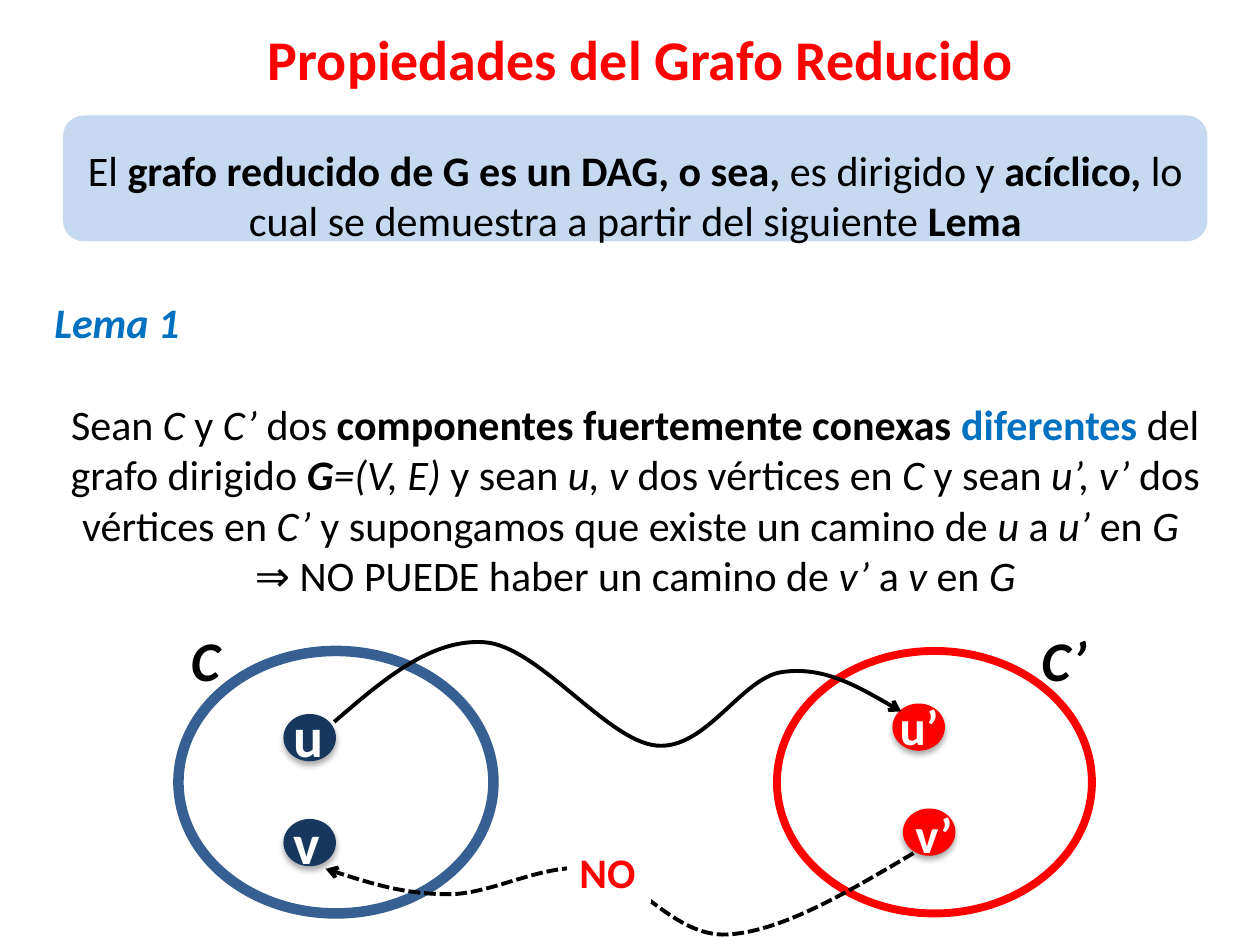
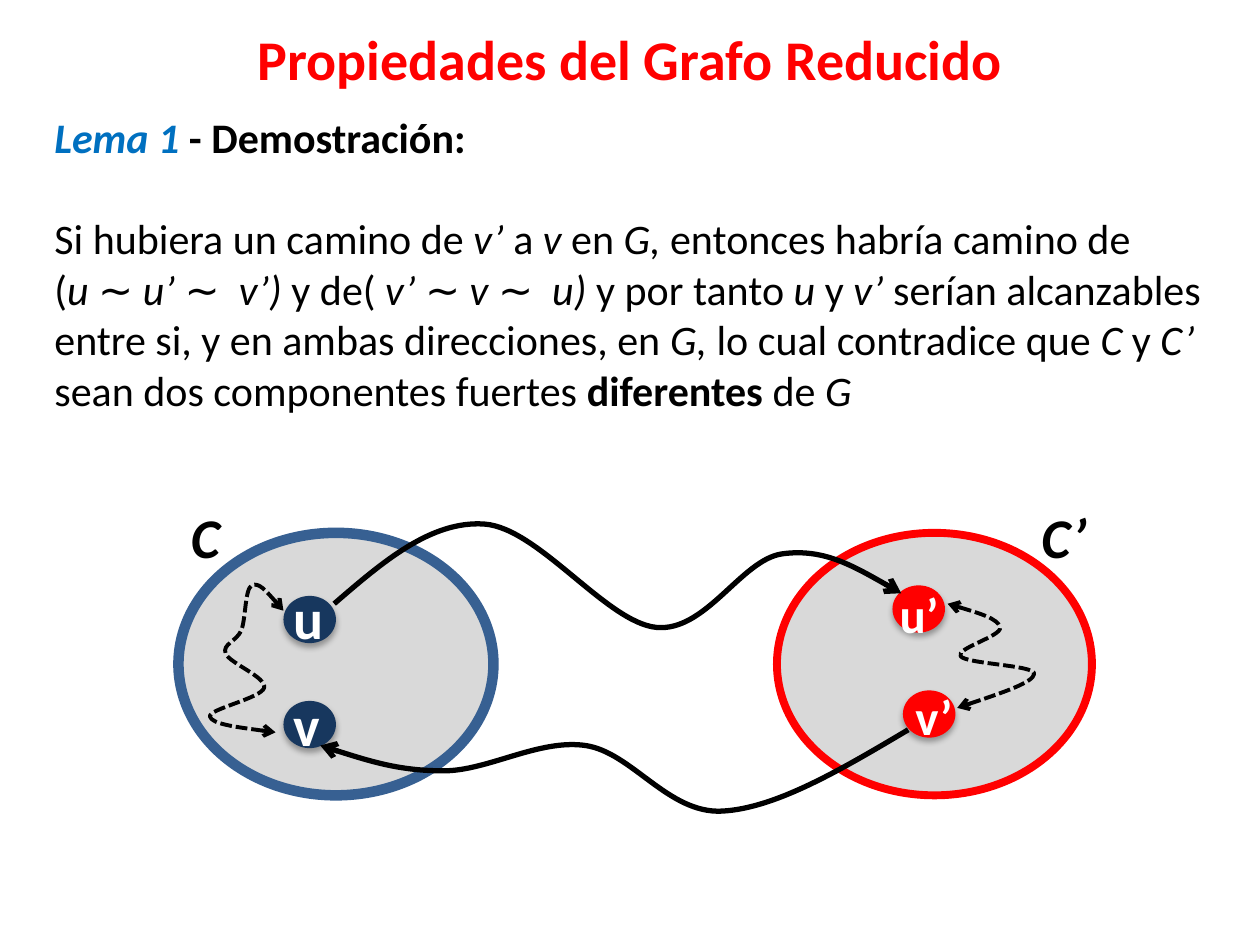
from pptx import Presentation
from pptx.dml.color import RGBColor
from pptx.enum import dml, shapes, text
from pptx.oxml import ns, xmlchemy
from pptx.util import Pt

COLORS = {
    "red": "FF0000", "black": "000000", "white": "FFFFFF", "blue": "0070C0",
    "ring": "376092", "navy": "17375E", "card": "C6D9F1", "gray": "D9D9D9",
}
FONT = "Calibri"
TITLE = "Propiedades del Grafo Reducido"
BLANK_LINE = 29.3

PLAIN, B, I = {}, {"bold": True}, {"italic": True}
BI = B | I
BLUE_BI = BI | {"color": "blue"}

LEMMA = [
    {"align": "CENTER", "runs": [
        ("El ", PLAIN), ("grafo reducido de G es un DAG, o sea, ", B),
        ("es dirigido y ", PLAIN), ("acíclico, ", B),
        ("lo cual se demuestra a partir del siguiente ", PLAIN), ("Lema", B)]},
    {"align": "LEFT", "before": BLANK_LINE, "runs": [("Lema 1", BLUE_BI)]},
    {"align": "CENTER", "before": BLANK_LINE, "runs": [
        ("Sean ", PLAIN), ("C", I), (" y ", PLAIN), ("C’", I), (" dos ", PLAIN),
        ("componentes fuertemente conexas ", B),
        ("diferentes ", B | {"color": "blue"}),
        ("del grafo dirigido ", PLAIN), ("G", BI), ("=(V, E) ", I),
        ("y sean", PLAIN), (" u, v ", I), ("dos vértices en", PLAIN), (" C ", I),
        ("y sean", PLAIN), (" u’, v’ ", I), ("dos vértices en", PLAIN), (" C’ ", I),
        ("y supongamos que existe un camino de", PLAIN), (" u ", I),
        ("a", PLAIN), (" u’ ", I), ("en ", PLAIN), ("G ", I)]},
    {"align": "CENTER", "runs": [
        ("⇒ NO PUEDE haber un camino de", PLAIN), (" v’ ", I),
        ("a", PLAIN), (" v ", I), ("en ", PLAIN), ("G", I)]},
]
PROOF = [
    {"align": "LEFT", "runs": [("Lema 1 ", BLUE_BI), ("- Demostración: ", B)]},
    {"align": "LEFT", "before": BLANK_LINE, "runs": [
        ("Si hubiera un camino de ", PLAIN), ("v’ ", I), ("a", PLAIN), (" v ", I),
        ("en", PLAIN), (" G, ", I), ("entonces habría camino de ", PLAIN)]},
    {"align": "LEFT", "runs": [
        ("(", PLAIN), ("u ∼ u’ ∼  v’) ", I), ("y de( ", PLAIN),
        ("v’ ∼ v ∼  u) ", I), ("y por tanto ", PLAIN), ("u ", I), ("y ", PLAIN),
        ("v’", I),
        (" serían alcanzables entre si, y en ambas direcciones, en ", PLAIN),
        ("G, ", I), ("lo cual contradice que ", PLAIN), ("C", I), (" y ", PLAIN),
        ("C’", I), (" sean dos componentes fuertes ", PLAIN),
        ("diferentes ", B), ("de ", PLAIN), ("G", I)]},
]

COMPONENTS = [(102, "ring", 6), (444, "red", 4.5)]
NODES = [(162, 36, "navy"), (162, 96, "navy"), (510, 30, "red"), (516, 90, "red")]
GOING = [(191, 40.5), (277, -5), (375, 54), (447, 12), (515, 34.5)]
RETURN = [(522, 115.5), (415.5, 162), (337.5, 124.5), (256.5, 139), (186, 124.5)]
INSIDE_RIGHT = [(541.5, 40.5), (571.5, 54), (549, 70.5), (591, 80.5), (547, 100)]
INSIDE_LEFT = [(157.5, 114), (120, 105), (151, 88.5), (129, 69), (138, 55.5),
               (144, 30), (162, 44.5)]

prs = Presentation()
prs.slide_width, prs.slide_height = Pt(720), Pt(540)


def rgb(name):
    return RGBColor.from_string(COLORS[name])


def box(*lengths):
    return [Pt(length) for length in lengths]


def write(paragraph, words, size=24, color="black", bold=False, italic=False):
    run = paragraph.add_run()
    run.text = words
    font = run.font
    font.name, font.size, font.bold, font.italic = FONT, Pt(size), bold, italic
    font.color.rgb = rgb(color)


def add_label(slide, words, place, **style):
    label = slide.shapes.add_textbox(*box(*place))
    label.text_frame.word_wrap = True
    write(label.text_frame.paragraphs[0], words, bold=True, **style)
    return label


def add_outline(slide, kind, place, fill=None, line=None, width=0):
    outline = slide.shapes.add_shape(kind, *box(*place))
    outline.shadow.inherit = False
    if fill:
        outline.fill.solid()
        outline.fill.fore_color.rgb = rgb(fill)
    else:
        outline.fill.background()
    if line:
        outline.line.color.rgb = rgb(line)
        outline.line.width = Pt(width)
    else:
        outline.line.fill.background()
    return outline


def add_node(slide, place, fill):
    node = add_outline(slide, shapes.MSO_SHAPE.OVAL, place, fill)
    effects = node._element.spPr.find(ns.qn("a:effectLst"))
    shadow = xmlchemy.OxmlElement("a:outerShdw")
    for key, value in {"blurRad": Pt(3.5), "dist": Pt(2.2), "dir": 90 * 60000,
                       "rotWithShape": 0}.items():
        shadow.set(key, str(value))
    tint = xmlchemy.OxmlElement("a:srgbClr")
    tint.set("val", COLORS["black"])
    alpha = xmlchemy.OxmlElement("a:alpha")
    alpha.set("val", "32000")
    tint.append(alpha)
    shadow.append(tint)
    effects.append(shadow)


def spline(stops):
    def tangent(i):
        return [(b - a) / 6 for a, b in zip(stops[i - 1], stops[i + 1])]

    def middle(p, q):
        return tuple((a + b) / 2 for a, b in zip(p, q))

    last = len(stops) - 1
    vertices = []
    for i in range(last):
        start, end = stops[i], stops[i + 1]
        leave = tuple(a + t for a, t in zip(start, tangent(i))) if i else None
        arrive = (tuple(a - t for a, t in zip(end, tangent(i + 1)))
                  if i + 1 < last else None)
        vertices += [leave or middle(start, arrive), arrive or middle(leave, end), end]
    return vertices


def add_path(slide, stops, top, shift=0, width=2.25, dashed=False, ends=("tailEnd",)):
    def place(point):
        return Pt(point[0] + shift), Pt(point[1] + shift + top)

    builder = slide.shapes.build_freeform(*place(stops[0]))
    builder.add_line_segments([place(p) for p in spline(stops)], close=False)
    curve = builder.convert_to_shape()
    segments = list(curve._element.iter(ns.qn("a:lnTo")))
    for i in range(0, len(segments), 3):
        bezier = xmlchemy.OxmlElement("a:cubicBezTo")
        segments[i].addprevious(bezier)
        for segment in segments[i:i + 3]:
            bezier.append(segment[0])
            segment.getparent().remove(segment)
    curve.shadow.inherit = False
    curve.fill.background()
    curve.line.color.rgb = rgb("black")
    curve.line.width = Pt(width)
    if dashed:
        curve.line.dash_style = dml.MSO_LINE.SQUARE_DOT
    line = curve._element.spPr.find(ns.qn("a:ln"))
    for end in ends:
        arrow = xmlchemy.OxmlElement("a:" + end)
        arrow.set("type", "arrow")
        line.append(arrow)


def start_slide(title_left):
    slide = prs.slides.add_slide(prs.slide_layouts[5])
    title = slide.shapes.title
    title.left, title.top, title.width, title.height = box(title_left, 6, 684, 54)
    title.text_frame.vertical_anchor = text.MSO_ANCHOR.MIDDLE
    heading = title.text_frame.paragraphs[0]
    heading.alignment = text.PP_ALIGN.CENTER
    write(heading, TITLE, size=32, color="red", bold=True)
    return slide


def add_body(slide, paragraphs, place):
    frame = slide.shapes.add_textbox(*box(*place)).text_frame
    frame.word_wrap = True
    for i, content in enumerate(paragraphs):
        paragraph = frame.add_paragraph() if i else frame.paragraphs[0]
        paragraph.alignment = getattr(text.PP_ALIGN, content["align"])
        paragraph.space_before = Pt(content.get("before", 0))
        for words, style in content["runs"]:
            write(paragraph, words, **style)


def add_components(slide, top, fill, name_rise, u_prime_drop):
    for left, line, width in COMPONENTS:
        add_outline(slide, shapes.MSO_SHAPE.OVAL, (left, top, 180, 150),
                    fill, line, width)
    for left, drop, color in NODES:
        add_node(slide, (left, top + drop, 30, 27), color)
    for words, left, drop, width, size, style in [
        ("u", 160.5, 25.5, 30, 32, {"color": "white"}),
        ("u’", 507, u_prime_drop, 73.5, 28, {"color": "white"}),
        ("v", 160.5, 86.5, 30, 32, {"color": "white"}),
        ("v’", 516, 84, 73.5, 28, {"color": "white"}),
        ("C", 102, -name_rise, 30, 32, I),
        ("C’", 588, -name_rise, 54, 32, I),
    ]:
        add_label(slide, words, (left, top + drop, width, size * 1.44),
                  size=size, **style)


lemma = start_slide(24)
add_outline(lemma, shapes.MSO_SHAPE.ROUNDED_RECTANGLE, (36, 66, 654, 72), "card")
add_body(lemma, LEMMA, (24, 79, 678, 269))
add_components(lemma, 372, None, 18, 22.5)
add_path(lemma, GOING, 372)
add_path(lemma, RETURN, 372, dashed=True)
denial = add_label(lemma, "NO", (324, 480, 48, 36), color="red")
denial.fill.solid()
denial.fill.fore_color.rgb = rgb("white")

proof = start_slide(18)
add_body(proof, PROOF, (24, 60, 684, 204))
add_components(proof, 304.5, "gray", 21, 26)
add_path(proof, GOING, 304.5, width=3)
add_path(proof, RETURN, 304.5, shift=-3, width=3)
for inside in (INSIDE_RIGHT, INSIDE_LEFT):
    add_path(proof, inside, 304.5, dashed=True, ends=("headEnd", "tailEnd"))

prs.save("out.pptx")
